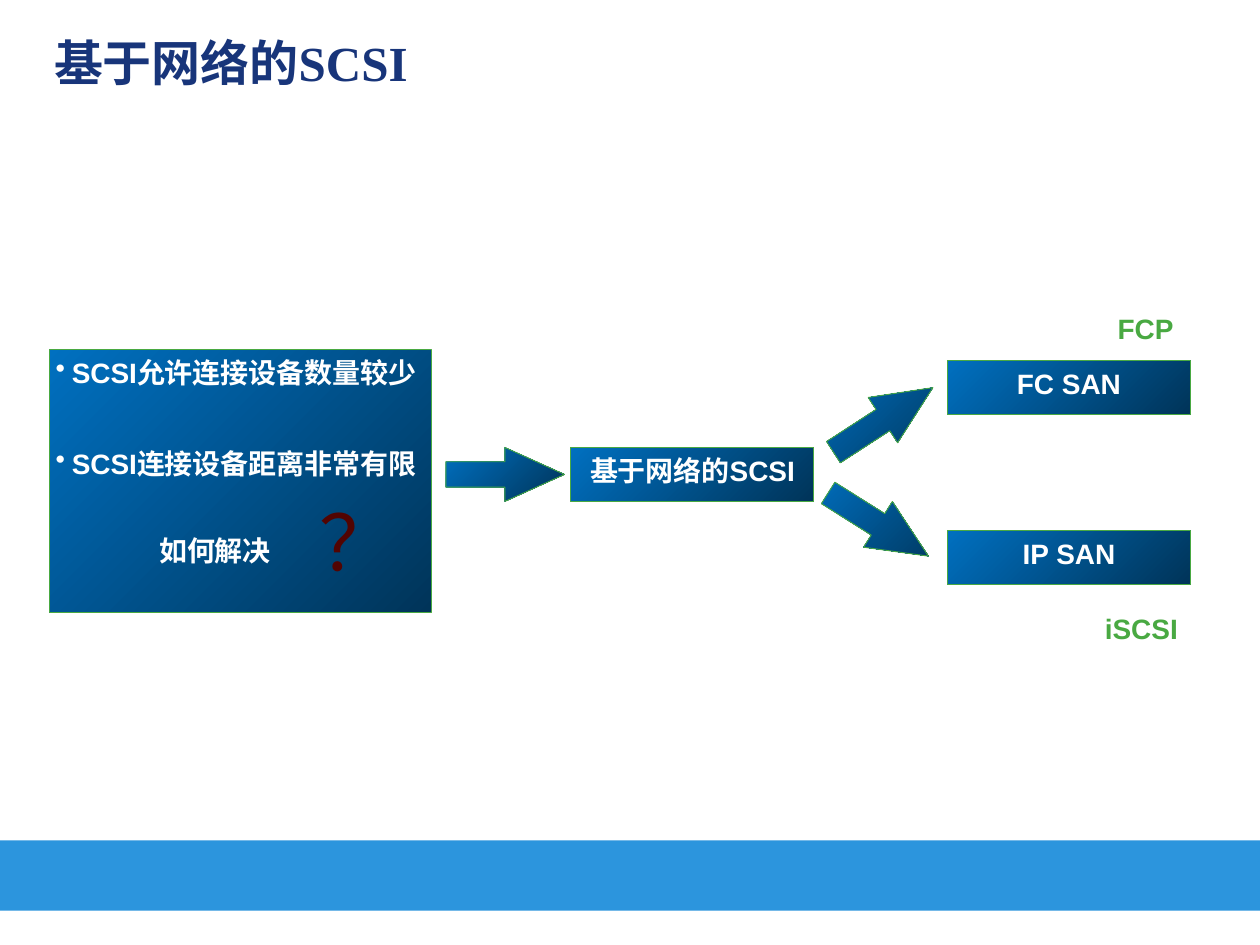
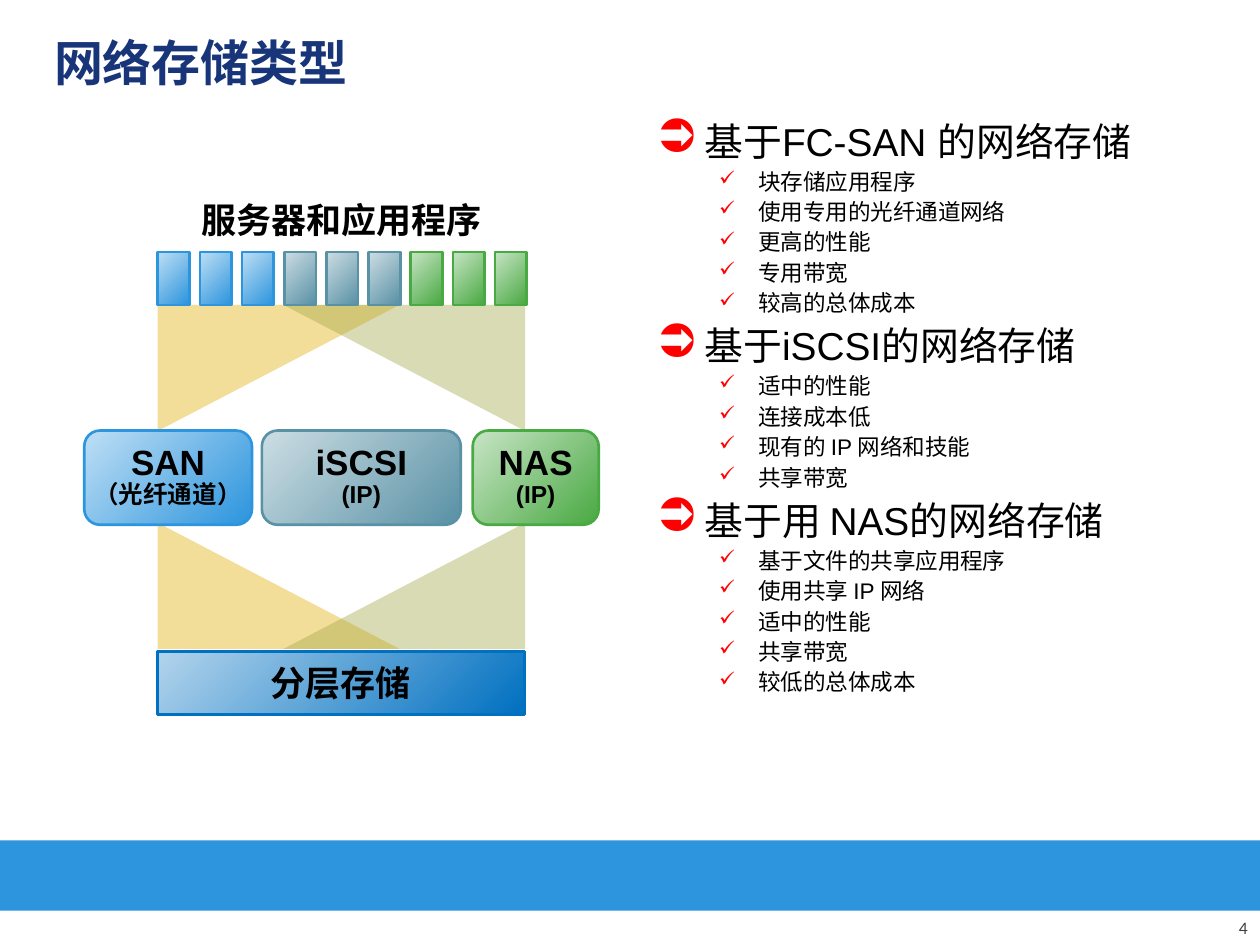
from dataclasses import dataclass, field
from typing import Any

from lxml.etree import SubElement
from pptx import Presentation
from pptx.dml.color import RGBColor
from pptx.enum.shapes import MSO_SHAPE as Preset
from pptx.enum.text import MSO_ANCHOR as Anchor, PP_ALIGN as Align
from pptx.oxml.ns import qn
from pptx.util import Cm, Pt

NAVY, BAND, WHITE, BLACK = "18357A", "2C95DD", "FFFFFF", "000000"
GREEN, RED, DARK_RED, GREY = "49A942", "FF0000", "520402", "404040"
GOLD, OLIVE = "E0AD00", "A1A646"
DEEP_BLUE = ("0070C0", "003459")
STORAGE_BLUE = ("B2D4EC", "0070C0")
SAN_BLUE = ("BFDFF5", BAND)
ISCSI_GREY = ("CDDEE4", "5991A5")
NAS_GREEN = ("C8E5C6", GREEN)

Area = tuple[float, float, float, float]  # left, top, width, height in cm


@dataclass
class Bullet:
    char: str
    color: str
    hanging: float
    left: float
    percent: int = 100


@dataclass
class Line:
    text: str
    size: float = 16
    color: str = WHITE
    bold: bool = True
    font: str = "Arial"
    bullet: Bullet | None = None
    layout: dict[str, Any] = field(default_factory=lambda: {"alignment": Align.CENTER})


@dataclass
class Node:
    """A labelled box with a gradient fill."""
    area: Area
    colors: tuple[str, str]
    outline: str
    lines: list[Line]
    preset: Any = Preset.RECTANGLE
    outline_width: float = 1.5
    inset: float = 0.13
    anchor: Any = Anchor.MIDDLE


def rgb(color: str) -> RGBColor:
    return RGBColor.from_string(color)


def assign(target: Any, values: dict[str, Any]) -> None:
    for attribute, value in values.items():
        setattr(target, attribute, value)


def add_bullet(paragraph, bullet: Bullet) -> None:
    properties = paragraph._p.get_or_add_pPr()
    properties.set("marL", str(Cm(bullet.left)))
    properties.set("indent", str(-Cm(bullet.hanging)))
    color = SubElement(properties, qn("a:buClr"))
    SubElement(color, qn("a:srgbClr"), val=bullet.color)
    SubElement(properties, qn("a:buSzPct"), val=str(bullet.percent * 1000))
    SubElement(properties, qn("a:buChar"), char=bullet.char)


def write(frame, lines: list[Line], inset: float = 0.13, side_inset: float = 0.25,
          anchor=Anchor.TOP, wrap: bool = False) -> None:
    assign(frame, {
        "margin_left": Cm(side_inset), "margin_right": Cm(side_inset),
        "margin_top": Cm(inset), "margin_bottom": Cm(inset),
        "vertical_anchor": anchor, "word_wrap": wrap,
    })
    for index, line in enumerate(lines):
        paragraph = frame.add_paragraph() if index else frame.paragraphs[0]
        if line.bullet:
            add_bullet(paragraph, line.bullet)
        assign(paragraph, line.layout)
        run = paragraph.add_run()
        run.text = line.text
        assign(run.font, {"size": Pt(line.size), "bold": line.bold, "name": line.font})
        run.font.color.rgb = rgb(line.color)


def add_text(slide, area: Area, line: Line, **frame_format) -> None:
    box = slide.shapes.add_textbox(*map(Cm, area))
    write(box.text_frame, [line], **frame_format)


def add_plain(shapes, preset, area: Area):
    """Add a preset shape without shadow and outline."""
    shape = shapes.add_shape(preset, *map(Cm, area))
    shape.shadow.inherit = False
    shape.line.fill.background()
    return shape


def add_solid(shapes, preset, area: Area, color: str):
    shape = add_plain(shapes, preset, area)
    shape.fill.solid()
    shape.fill.fore_color.rgb = rgb(color)
    return shape


def add_gradient(shapes, preset, area: Area, colors: tuple[str, str], outline: str,
                 outline_width: float, rotation: float = 0):
    """Add a shape shaded from top left to bottom right, whatever its rotation."""
    shape = add_plain(shapes, preset, area)
    shape.rotation = rotation
    shape.fill.gradient()
    shape.fill.gradient_angle = (315 + rotation) % 360
    for stop, color in zip(shape.fill.gradient_stops, colors):
        stop.color.rgb = rgb(color)
    shape.line.color.rgb = rgb(outline)
    shape.line.width = Pt(outline_width)
    return shape


def add_node(slide, node: Node) -> None:
    shape = add_gradient(slide.shapes, node.preset, node.area, node.colors,
                         node.outline, node.outline_width)
    write(shape.text_frame, node.lines, node.inset, node.inset, node.anchor)


def add_beam(slide, left: float, top: float, color: str, flips: list[str]) -> None:
    """Add a translucent triangle between two storage tiers."""
    beam = add_solid(slide.shapes, Preset.RIGHT_TRIANGLE, (left, top, 4.87, 2.54), color)
    properties = beam.element.spPr
    SubElement(properties.find(".//" + qn("a:srgbClr")), qn("a:alpha"), val="40000")
    for flip in flips:
        properties.find(qn("a:xfrm")).set(flip, "1")


def add_titled_slide(deck, heading: str):
    slide = deck.slides.add_slide(deck.slide_layouts[5])
    add_solid(slide.shapes, Preset.RECTANGLE, (0, 16.94, 25.4, 1.42), BAND)
    title = slide.shapes.title
    assign(title, {"left": Cm(0.84), "top": Cm(0.2), "width": Cm(23.5), "height": Cm(2.11)})
    line = Line(heading, 28, NAVY, font="Times New Roman", layout={"alignment": Align.LEFT})
    write(title.text_frame, [line], anchor=Anchor.MIDDLE, wrap=True)
    return slide


def build_network_scsi(deck) -> None:
    slide = add_titled_slide(deck, "基于网络的SCSI")
    limit = Bullet("•", WHITE, 0.33, 0.33)
    limits = [
        Line("SCSI允许连接设备数量较少", bullet=limit, layout={"alignment": Align.LEFT}),
        Line("SCSI连接设备距离非常有限", bullet=limit,
             layout={"alignment": Align.LEFT, "space_before": Pt(32.5)}),
    ]
    frame = {"colors": DEEP_BLUE, "outline": GREEN, "outline_width": 0.5, "anchor": Anchor.TOP}
    add_node(slide, Node((0.99, 7.04, 7.7, 5.31), lines=limits, **frame))
    for left, top, label in ((11.51, 9.02, "基于网络的SCSI"),
                             (19.1, 7.26, "FC SAN"),
                             (19.1, 10.69, "IP SAN")):
        add_node(slide, Node((left, top, 4.9, 1.09), lines=[Line(label)], **frame))

    for left, top, rotation in ((8.99, 9.02, 0), (16.61, 7.92, 327), (16.51, 10.03, 32.2)):
        arrow = add_gradient(slide.shapes, Preset.RIGHT_ARROW, (left, top, 2.39, 1.09),
                             DEEP_BLUE, GREEN, 0.5, rotation)
        arrow.adjustments[0], arrow.adjustments[1] = 0.469, 1.102

    question_mark = Line("？", 44, DARK_RED, False, "Noto Sans CJK SC",
                         layout={"alignment": Align.LEFT})
    add_text(slide, (6.2, 9.83, 1.5, 2.39), question_mark)
    add_text(slide, (2.39, 10.62, 3.89, 0.94), Line("如何解决"), wrap=True)
    add_text(slide, (22.28, 6.15, 1.63, 0.94), Line("FCP", color=GREEN))
    add_text(slide, (21.84, 12.19, 2.34, 0.94), Line("iSCSI", color=GREEN), wrap=True)


STORAGE_TYPES = {
    "基于FC-SAN 的网络存储": ["块存储应用程序", "使用专用的光纤通道网络", "更高的性能",
                        "专用带宽", "较高的总体成本"],
    "基于iSCSI的网络存储": ["适中的性能", "连接成本低", "现有的 IP 网络和技能", "共享带宽"],
    "基于用 NAS的网络存储": ["基于文件的共享应用程序", "使用共享 IP 网络", "适中的性能",
                       "共享带宽", "较低的总体成本"],
}


def storage_type_lines() -> list[Line]:
    arrow = Bullet("➲", RED, 0.97, 0.97, 120)
    check = Bullet("✓", RED, 0.79, 2.06, 90)
    common = {"alignment": Align.LEFT, "line_spacing": 0.9}
    lines = []
    for storage_type, traits in STORAGE_TYPES.items():
        gap = {"space_before": Pt(6 if lines else 0)}
        lines.append(Line(storage_type, 22.2, BLACK, False, bullet=arrow, layout=common | gap))
        trait_layout = common | {"space_before": Pt(3.5), "level": 1}
        lines += [Line(trait, 12.9, BLACK, False, bullet=check, layout=trait_layout)
                  for trait in traits]
    return lines


def build_storage_types(deck) -> None:
    slide = add_titled_slide(deck, "网络存储类型")
    add_text(slide, (24.13, 18.42, 1.27, 0.63),
             Line("4", 10, GREY, False, "Calibri", layout={"alignment": Align.RIGHT}),
             anchor=Anchor.BOTTOM, wrap=True)
    add_text(slide, (2.54, 4.01, 8.69, 0.84), Line("服务器和应用程序", 20, BLACK),
             inset=0, side_inset=0, wrap=True)

    for top, vertical in ((10.54, []), (6.15, ["flipV"])):
        add_beam(slide, 3.18, top, GOLD, vertical)
        add_beam(slide, 5.72, top, OLIVE, ["flipH", *vertical])

    add_node(slide, Node((3.18, 13.13, 7.39, 1.27), STORAGE_BLUE, STORAGE_BLUE[1],
                         [Line("分层存储", 20, BLACK)]))

    servers = slide.shapes.add_group_shape().shapes
    palettes = (SAN_BLUE, ISCSI_GREY, NAS_GREEN)
    for index in range(9):
        colors = palettes[index // 3]
        add_gradient(servers, Preset.RECTANGLE, (3.18 + 0.85 * index, 5.08, 0.64, 1.07),
                     colors, colors[1], 1.5)

    tight = {"alignment": Align.CENTER, "line_spacing": 0.85}
    for left, width, colors, network, transport in (
            (1.7, 3.38, SAN_BLUE, "SAN", "（光纤通道）"),
            (5.28, 4.01, ISCSI_GREY, "iSCSI", "(IP)"),
            (9.53, 2.54, NAS_GREEN, "NAS", "(IP)")):
        labels = [Line(network, 20, BLACK, layout=tight), Line(transport, 14, BLACK, layout=tight)]
        add_node(slide, Node((left, 8.68, width, 1.9), colors, colors[1], labels,
                             Preset.ROUNDED_RECTANGLE, inset=0))

    overview = slide.shapes.add_textbox(*map(Cm, (12.98, 2.34, 11.15, 14.4)))
    write(overview.text_frame, storage_type_lines(), wrap=True)


def main() -> None:
    deck = Presentation()
    assign(deck, {"slide_width": Cm(25.4), "slide_height": Cm(19.05)})
    build_network_scsi(deck)
    build_storage_types(deck)
    deck.save("out.pptx")


if __name__ == "__main__":
    main()
